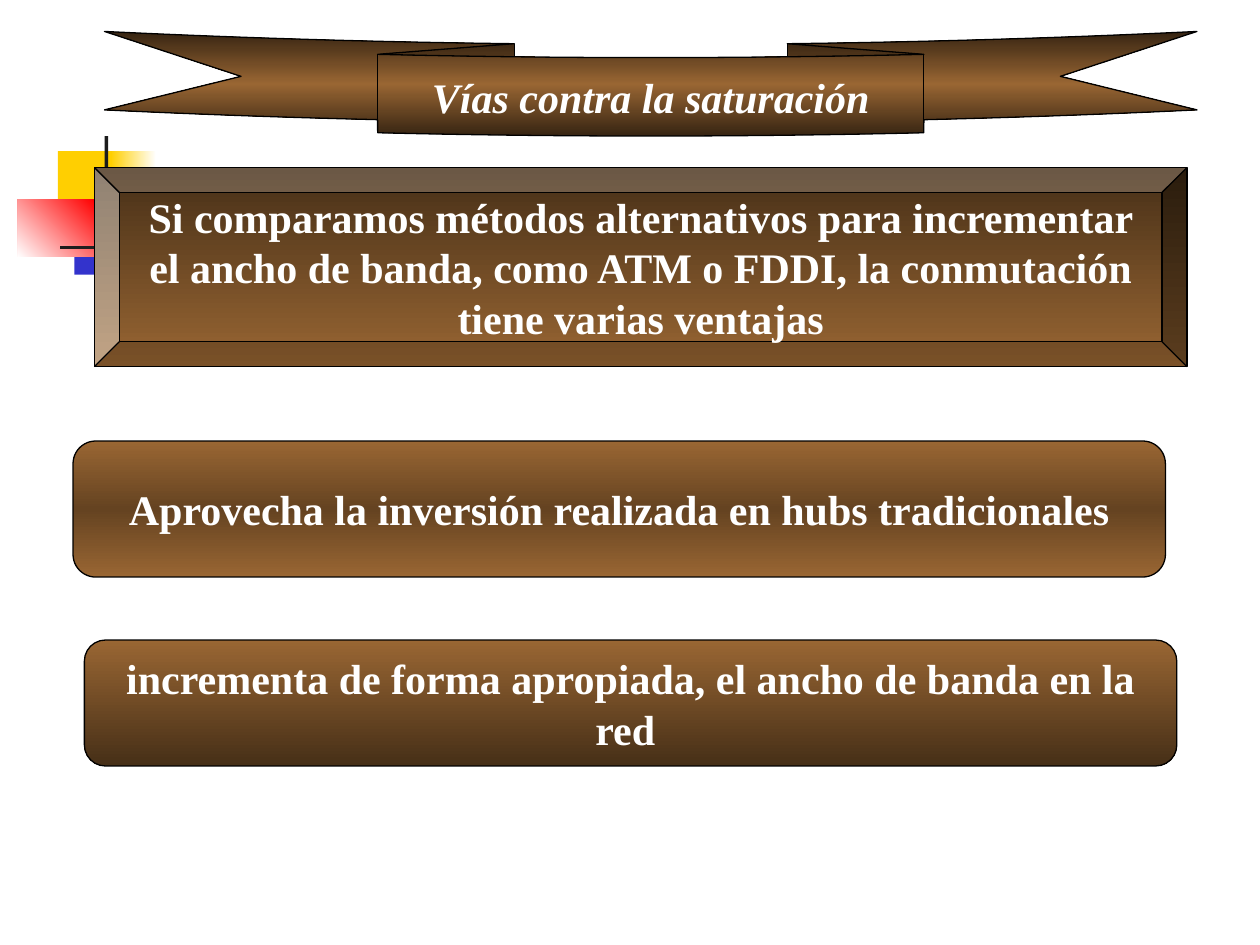
from lxml.etree import SubElement
from pptx import Presentation
from pptx.dml.color import RGBColor
from pptx.enum.shapes import MSO_SHAPE
from pptx.enum.text import MSO_ANCHOR, MSO_AUTO_SIZE, PP_ALIGN
from pptx.oxml.ns import qn
from pptx.util import Inches, Pt

THEME = {
    "font": "Times New Roman", "size": 24, "text": "FFFFFF",
    "outline": "000000", "outline_width": 0.75,
    "bronze": "996633", "umber": "654321", "dark": "462F17", "darkest": "362412",
    "yellow": "FFCF01", "blue": "3333CC", "red": "FF0000",
    "ink": "1C1C1C", "white": "FFFFFF",
}

# Content: each box is left, top, width, height in inches
TITLE = "Vías contra la saturación"
TITLE_BOX = (3, 0.46, 4.33, 0.62)
RIBBON_BOX = (0.83, 0.25, 8.67, 0.83)

# Corner motif: box, colours, gradient angle
MOTIF = [
    ((0.46, 1.2, 0.48, 0.52), ["yellow"], 0),
    ((0.88, 1.2, 0.36, 0.52), ["white", "yellow"], 180),
    ((0.59, 1.66, 0.46, 0.52), ["blue"], 0),
    ((1, 1.66, 0.4, 0.52), ["white", "blue"], 180),
    ((0.14, 1.58, 0.61, 0.46), ["red", "white"], 135),
    ((0.83, 1.08, 0.03, 1.15), ["ink"], 0),
    ((0.48, 1.95, 9, 0.03), ["white", "ink"], 180),
]

# Panels: preset, box, corner or bevel size, colours from top to bottom, text
PANELS = [
    (MSO_SHAPE.BEVEL, (0.75, 1.33, 8.67, 1.58), 0.125, ["dark", "bronze"],
     "Si comparamos métodos alternativos para incrementar el ancho de banda, "
     "como ATM o FDDI, la conmutación tiene varias ventajas"),
    (MSO_SHAPE.ROUNDED_RECTANGLE, (0.58, 3.5, 8.67, 1.08), 0.167,
     ["bronze", "umber", "bronze"],
     "Aprovecha la inversión realizada en hubs tradicionales"),
    (MSO_SHAPE.ROUNDED_RECTANGLE, (0.67, 5.08, 8.67, 1), 0.167, ["bronze", "dark"],
     "incrementa de forma apropiada, el ancho de banda en la red "),
]


def color(name):
    return RGBColor.from_string(THEME[name])


def paint(shape, names, angle):
    """Fill with one colour, or with evenly spaced gradient stops."""
    if len(names) == 1:
        shape.fill.solid()
        shape.fill.fore_color.rgb = color(names[0])
        return
    shape.fill.gradient()
    shape.fill.gradient_angle = (360 - angle) % 360
    stops = shape._element.spPr.find(qn("a:gradFill")).find(qn("a:gsLst"))
    for stop in list(stops):
        stops.remove(stop)
    for index, name in enumerate(names):
        position = round(100000 * index / (len(names) - 1))
        stop = SubElement(stops, qn("a:gs"), pos=str(position))
        SubElement(stop, qn("a:srgbClr"), val=THEME[name])


def add_block(page, preset, box, names, angle=90, outlined=True):
    shape = page.shapes.add_shape(preset, *map(Inches, box))
    shape.shadow.inherit = False
    paint(shape, names, angle)
    if outlined:
        shape.line.color.rgb = color("outline")
        shape.line.width = Pt(THEME["outline_width"])
    else:
        shape.line.fill.background()
    return shape


def write(shape, text, italic=False, wrap=True):
    frame = shape.text_frame
    frame.auto_size = MSO_AUTO_SIZE.NONE
    frame.word_wrap = wrap
    frame.vertical_anchor = MSO_ANCHOR.MIDDLE
    para = frame.paragraphs[0]
    para.alignment = PP_ALIGN.CENTER
    para.space_before = Pt(0)
    span = para.add_run()
    span.text = text
    span.font.name = THEME["font"]
    span.font.size = Pt(THEME["size"])
    span.font.bold = True
    span.font.italic = italic
    span.font.color.rgb = color("text")


def main():
    deck = Presentation()
    deck.slide_width, deck.slide_height = Inches(10), Inches(7.5)
    page = deck.slides.add_slide(deck.slide_layouts.get_by_name("Title Only"))

    # Corner motif
    for box, names, angle in MOTIF:
        add_block(page, MSO_SHAPE.RECTANGLE, box, names, angle, outlined=False)

    # Title on the middle fold of the ribbon, brought in front of it
    add_block(page, MSO_SHAPE.CURVED_DOWN_RIBBON, RIBBON_BOX,
              ["darkest", "bronze", "darkest"])
    title = page.shapes.title
    title.left, title.top, title.width, title.height = map(Inches, TITLE_BOX)
    write(title, TITLE, italic=True, wrap=False)
    page.shapes._spTree.append(title._element)

    # Text panels
    for preset, box, adjustment, names, text in PANELS:
        panel = add_block(page, preset, box, names)
        panel.adjustments[0] = adjustment
        write(panel, text)

    deck.save("out.pptx")


if __name__ == "__main__":
    main()
